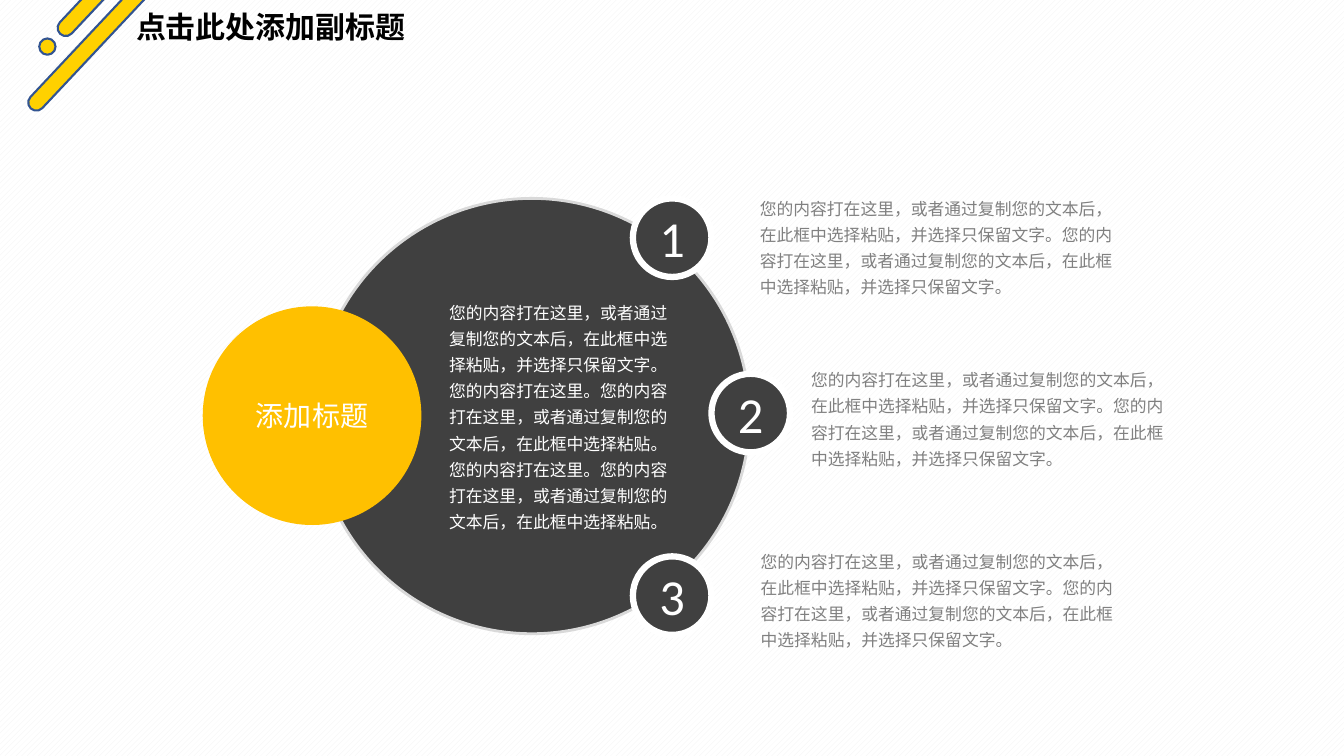
from dataclasses import dataclass

from lxml import etree
from pptx import Presentation
from pptx.dml.color import RGBColor
from pptx.enum.dml import MSO_PATTERN
from pptx.enum.shapes import MSO_SHAPE
from pptx.enum.text import MSO_ANCHOR, MSO_AUTO_SIZE, PP_ALIGN
from pptx.oxml.ns import qn
from pptx.util import Cm, Pt

OVAL = MSO_SHAPE.OVAL
ROUNDED = MSO_SHAPE.ROUNDED_RECTANGLE
CENTER = PP_ALIGN.CENTER
LEFT = PP_ALIGN.LEFT
MIDDLE = MSO_ANCHOR.MIDDLE
TOP = MSO_ANCHOR.TOP
FIT = MSO_AUTO_SIZE.SHAPE_TO_FIT_TEXT
DIAGONAL = MSO_PATTERN.WIDE_UPWARD_DIAGONAL

CJK = "Noto Sans CJK SC"
DARK, WHITE, GRAY = "404040", "FFFFFF", "808080"
BADGE_SIZE = 1.98

PASTE = "您的内容打在这里，或者通过复制您的文本后，在此框中选择粘贴"
KEEP_TEXT = PASTE + "，并选择只保留文字。"
SUMMARY = KEEP_TEXT + ("您的内容打在这里。" + PASTE + "。") * 2


@dataclass
class Shape:
    left: float
    top: float
    width: float
    height: float
    fill: str
    line: str = ""
    weight: float = 0
    kind: int = OVAL
    rotation: float = 0


@dataclass
class Item:
    number: str
    badge_left: float
    badge_top: float
    text_left: float
    text_top: float


DECOR = [
    Shape(-1.78, -3.38, 16.21, 0.41, "FFD100", "325491", 1.5, ROUNDED, 313.2),
    Shape(-1.04, -5.26, 16.21, 0.41, "FFD100", "325491", 1.5, ROUNDED, 313.2),
    Shape(0.99, 0.97, 0.41, 0.41, "FFD100", "325491", 1.5),
]
MAIN_CIRCLE = Shape(7.92, 5, 10.97, 10.97, DARK, "D9D9D9", 2)
TITLE_CIRCLE = Shape(5.11, 7.72, 5.51, 5.51, "FFC000")
ITEMS = [
    Item("1", 15.95, 5, 18.9, 4.72),
    Item("2", 17.93, 9.42, 20.19, 9.04),
    Item("3", 15.95, 14.02, 18.92, 13.61),
]


def color(value: str) -> RGBColor:
    return RGBColor.from_string(value)


def write(sp, text: str, *, size: float, fill: str, font: str = CJK,
          bold: bool = False, align: int = LEFT, anchor: int = TOP,
          spacing: float = 1.0, inset_x: float = 0.25,
          inset_y: float = 0.13) -> None:
    tf = sp.text_frame
    tf.word_wrap = True
    tf.vertical_anchor = anchor
    tf.margin_left = tf.margin_right = Cm(inset_x)
    tf.margin_top = tf.margin_bottom = Cm(inset_y)
    p = tf.paragraphs[0]
    p.alignment = align
    p.line_spacing = spacing
    r = p.add_run()
    r.text = text
    r.font.size = Pt(size)
    r.font.bold = bold
    r.font.color.rgb = color(fill)
    r.font.name = font
    ea = etree.SubElement(r._r.get_or_add_rPr(), qn("a:ea"))
    ea.set("typeface", font)


def add_shape(s, shape: Shape):
    sp = s.shapes.add_shape(shape.kind, Cm(shape.left), Cm(shape.top),
                            Cm(shape.width), Cm(shape.height))
    sp.shadow.inherit = False
    sp.rotation = shape.rotation
    if shape.kind == ROUNDED:
        sp.adjustments[0] = 0.5
    sp.fill.solid()
    sp.fill.fore_color.rgb = color(shape.fill)
    if shape.line:
        sp.line.color.rgb = color(shape.line)
        sp.line.width = Pt(shape.weight)
    else:
        sp.line.fill.background()
    return sp


def add_text(s, left: float, top: float, width: float, height: float,
             text: str, **style) -> None:
    sp = s.shapes.add_textbox(Cm(left), Cm(top), Cm(width), Cm(height))
    write(sp, text, **style)
    sp.text_frame.auto_size = FIT


def add_item(s, item: Item) -> None:
    badge = Shape(item.badge_left, item.badge_top, BADGE_SIZE, BADGE_SIZE,
                  DARK, WHITE, 4.5)
    write(add_shape(s, badge), item.number, size=36, fill=WHITE,
          font="Calibri", align=CENTER, anchor=MIDDLE)
    add_text(s, item.text_left, item.text_top, 9.5, 2.92, KEEP_TEXT * 2,
             size=12, fill=GRAY, spacing=1.3)


def main() -> None:
    prs = Presentation()
    prs.slide_width, prs.slide_height = Cm(33.87), Cm(19.05)
    s = prs.slides.add_slide(prs.slide_layouts[6])
    bg = s.background.fill
    bg.patterned()
    bg.pattern = DIAGONAL
    bg.fore_color.rgb = color("F2F2F2")
    bg.back_color.rgb = color(WHITE)

    for shape in DECOR:
        add_shape(s, shape)
    add_shape(s, MAIN_CIRCLE)
    write(add_shape(s, TITLE_CIRCLE), "添加标题", size=20, fill=WHITE,
          align=CENTER, anchor=MIDDLE)
    for item in ITEMS:
        add_item(s, item)
    add_text(s, 11.07, 7.34, 6.4, 6.25, SUMMARY, size=12, fill=WHITE,
             spacing=1.3)
    add_text(s, 3.1, 0, 8, 1.27, "点击此处添加副标题", size=21.4,
             fill="000000", bold=True, anchor=MIDDLE, spacing=1.1,
             inset_x=0.33, inset_y=0.18)
    prs.save("out.pptx")


if __name__ == "__main__":
    main()
